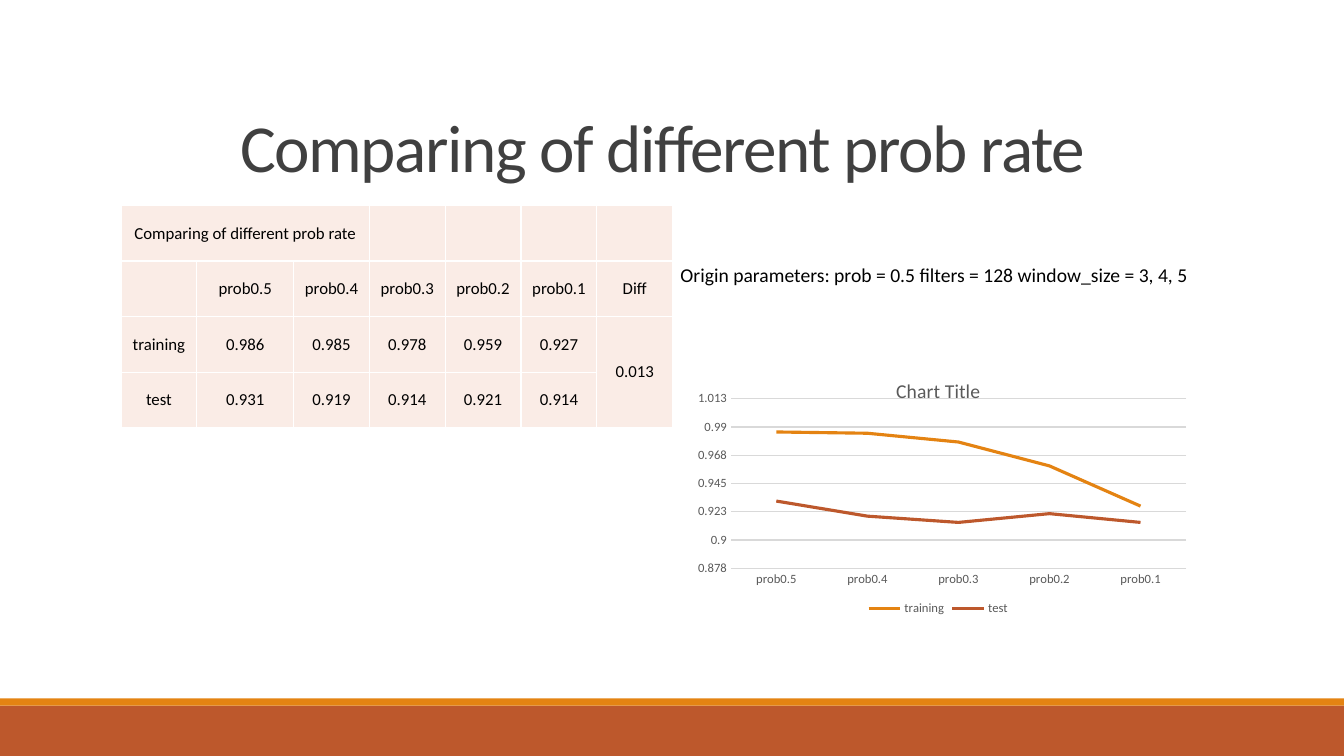
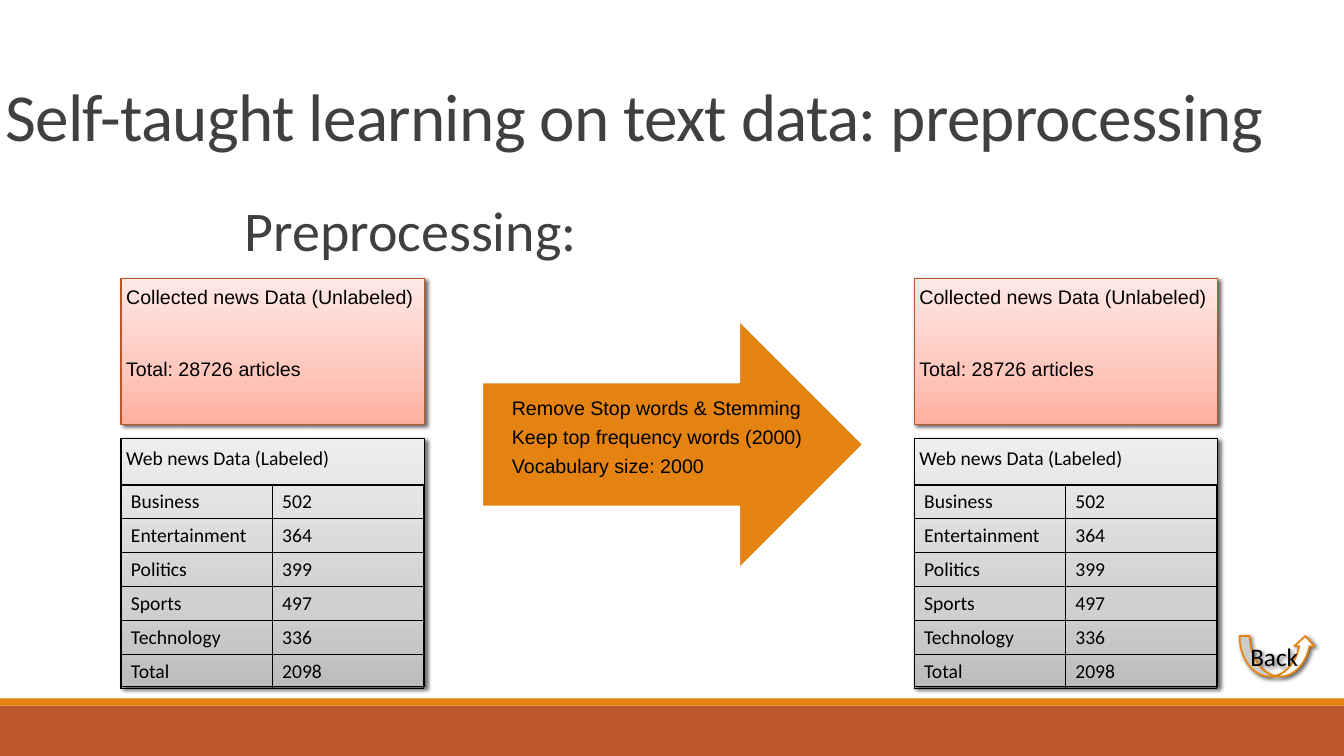
from pptx import Presentation
from pptx.chart.data import CategoryChartData as ChartData
from pptx.dml.color import RGBColor
from pptx.enum.chart import XL_CHART_TYPE as Kind, XL_LEGEND_POSITION as Side
from pptx.enum.chart import XL_TICK_MARK as Tick
from pptx.enum.shapes import MSO_SHAPE as Form
from pptx.enum.text import MSO_ANCHOR as Anchor, PP_ALIGN as Align
from pptx.oxml import parse_xml
from pptx.oxml.ns import nsdecls, qn
from pptx.util import Cm, Pt

ORANGE, RUST, BLACK, WHITE = "E48312", "BD582C", "000000", "FFFFFF"
DARK, GRAY, PALE, ROSE = "404040", "595959", "D9D9D9", "FAECE6"
PINK = ((0, "FFAFA0"), (35, "FFC6BC"), (100, "FFE9E5"))
SILVER = ((0, "BDBDBD"), (35, "D1D1D1"), (100, "EEEEEE"))


def hue(code):
    return RGBColor.from_string(code)


def put(item, **fmt):
    for key, val in fmt.items():
        setattr(item, key, val)


def ink(font, size, color=BLACK, name="Calibri"):
    put(font, size=Pt(size), name=name, bold=False)
    font.color.rgb = hue(color)


def stroke(line, color, width):
    line.color.rgb = hue(color)
    line.width = Pt(width)


class Deck:
    """Holds the style and the current slide."""

    def __init__(self):
        self.prs = Presentation()
        put(self.prs, slide_width=Cm(33.87), slide_height=Cm(19.05))
        self.slide = None

    def start(self, title, box, track):
        """New slide with its bottom bands and title."""
        self.slide = self.prs.slides.add_slide(self.prs.slide_layouts[6])
        self.shape((0, 17.78, 33.87, 1.27), RUST)
        self.shape((0, 17.6, 33.87, 0.18), ORANGE)
        self.text(box, [title], 48, DARK, anchor=Anchor.BOTTOM,
                  para={"line_spacing": 0.85}, track=track)

    def label(self, frame, lines, size, color=BLACK, name="Calibri",
              anchor=Anchor.TOP, para=None, track=0, pad=(0.13,) * 4):
        """Fill a text frame, one paragraph for each line."""
        left, top, right, low = map(Cm, pad)
        put(frame, word_wrap=True, vertical_anchor=anchor, margin_left=left,
            margin_top=top, margin_right=right, margin_bottom=low)
        for num, line in enumerate(lines):
            par = frame.add_paragraph() if num else frame.paragraphs[0]
            put(par, **{"alignment": Align.LEFT, **(para or {})})
            run = par.add_run()
            run.text = line
            ink(run.font, size, color, name)
            if track:
                run.font._element.set("spc", str(int(track * 100)))

    def text(self, box, lines, size, color=BLACK, **fmt):
        item = self.slide.shapes.add_textbox(*map(Cm, box))
        self.label(item.text_frame, lines, size, color, **fmt)

    def shape(self, box, fill, form=Form.RECTANGLE, line=None, shade=False):
        """Preset shape; fill is a colour or a row of gradient stops."""
        item = self.slide.shapes.add_shape(form, *map(Cm, box))
        item.shadow.inherit = False
        if isinstance(fill, str):
            item.fill.solid()
            item.fill.fore_color.rgb = hue(fill)
        else:
            stops = "".join(
                f'<a:gs pos="{pos * 1000}"><a:srgbClr val="{code}"/></a:gs>'
                for pos, code in fill)
            item._element.spPr.insert(2, parse_xml(
                f'<a:gradFill {nsdecls("a")} rotWithShape="1"><a:gsLst>{stops}'
                '</a:gsLst><a:lin ang="16200000" scaled="0"/></a:gradFill>'))
        if line:
            stroke(item.line, *line)
        else:
            item.line.fill.background()
        if shade:
            item._element.spPr.find(qn("a:effectLst")).append(parse_xml(
                f'<a:outerShdw {nsdecls("a")} blurRad="38100" dist="25400" '
                f'dir="2700000" rotWithShape="0"><a:srgbClr val="{BLACK}">'
                '<a:alpha val="60000"/></a:srgbClr></a:outerShdw>'))
        return item

    def table(self, spot, wide, high, rows, size, edge, fill=None, spans=(),
              **fmt):
        box = (*spot, sum(wide), high * len(rows))
        grid = self.slide.shapes.add_table(
            len(rows), len(wide), *map(Cm, box)).table
        put(grid, first_row=False, horz_banding=False)
        for col, width in zip(grid.columns, wide):
            col.width = Cm(width)
        for row, vals in zip(grid.rows, rows):
            row.height = Cm(high)
            for cell, val in zip(row.cells, vals):
                self.cell(cell, val, size, edge, fill, **fmt)
        for first, last in spans:
            grid.cell(*first).merge(grid.cell(*last))

    def cell(self, cell, val, size, edge, fill, para=None,
             anchor=Anchor.TOP, pad=(0.25, 0.13)):
        par = cell.text_frame.paragraphs[0]
        put(par, **(para or {}))
        run = par.add_run()
        run.text = val
        ink(run.font, size)
        across, down = map(Cm, pad)
        put(cell, vertical_anchor=anchor, margin_left=across,
            margin_right=across, margin_top=down, margin_bottom=down)
        if fill:
            cell.fill.solid()
            cell.fill.fore_color.rgb = hue(fill)
        else:
            cell.fill.background()
        props = cell._tc.get_or_add_tcPr()
        for num, side in enumerate("LRTB"):
            props.insert(num, parse_xml(
                f'<a:ln{side} {nsdecls("a")} w="12700"><a:solidFill>'
                f'<a:srgbClr val="{edge}"/></a:solidFill></a:ln{side}>'))

    def chart(self, box, title, cats, lines, low, high, step):
        """Line chart; lines holds name, values and colour."""
        data = ChartData()
        data.categories = cats
        for name, vals, _ in lines:
            data.add_series(name, vals)
        chart = self.slide.shapes.add_chart(
            Kind.LINE, *map(Cm, box), data).chart
        ink(chart.font, 9, GRAY)
        # Title and legend
        put(chart, has_title=True, has_legend=True)
        head = chart.chart_title.text_frame
        head.text = title
        ink(head.paragraphs[0].runs[0].font, 14, GRAY)
        put(chart.legend, position=Side.BOTTOM, include_in_layout=True)
        # Axes
        for axis in (chart.category_axis, chart.value_axis):
            put(axis, major_tick_mark=Tick.NONE, minor_tick_mark=Tick.NONE)
            ink(axis.tick_labels.font, 9, GRAY)
        stroke(chart.category_axis.format.line, PALE, 1)
        axis = chart.value_axis
        put(axis, minimum_scale=low, maximum_scale=high, major_unit=step,
            has_major_gridlines=True)
        put(axis.tick_labels, number_format="0.###",
            number_format_is_linked=False)
        axis.format.line.fill.background()
        stroke(axis.major_gridlines.format.line, PALE, 1)
        # Lines
        plot = chart.plots[0]
        plot.vary_by_categories = False
        for item, (_, _, color) in zip(plot.series, lines):
            item.smooth = False
            stroke(item.format.line, color, 2.25)
        # Place of the plot area
        area = chart._chartSpace.chart.plotArea
        for old in area.findall(qn("c:layout")):
            area.remove(old)
        modes = '<c:xMode val="edge"/><c:yMode val="edge"/>'
        sizes = "".join(f'<c:{key} val="{val}"/>' for key, val in zip(
            "xywh", (0.09, 0.14, 0.9, 0.66)))
        area.insert(0, parse_xml(
            f'<c:layout {nsdecls("c")}><c:manualLayout><c:layoutTarget '
            f'val="inner"/>{modes}{sizes}</c:manualLayout></c:layout>'))


def rates(deck):
    """Table and chart of the prob rates."""
    title = "Comparing of different prob rate"
    cats = [f"prob0.{num}" for num in range(5, 0, -1)]
    train = [0.986, 0.985, 0.978, 0.959, 0.927]
    test = [0.931, 0.919, 0.914, 0.921, 0.914]
    deck.start(title, (5.92, 0.79, 27.94, 4.04), -1)
    rows = [[title] + [""] * 6,
            ["", *cats, "Diff"],
            ["training", *map(str, train), "0.013"],
            ["test", *map(str, test), ""]]
    deck.table((3.05, 5.18), [1.91, 2.44] + [1.91] * 5, 1.4, rows, 12, WHITE,
               ROSE, spans=[((0, 0), (0, 2)), ((2, 6), (3, 6))],
               anchor=Anchor.MIDDLE, pad=(0.03, 0.03),
               para={"alignment": Align.CENTER})
    deck.chart((17.27, 9.14, 12.75, 6.48), "Chart Title", cats,
               [("training", train, ORANGE), ("test", test, RUST)],
               0.8775, 1.0125, 0.0225)
    deck.text((17.02, 6.5, 16.5, 0.81), [
        "Origin parameters: prob = 0.5 filters = 128 window_size = 3, 4, 5"],
        14)


def news(deck):
    """Data sets before and after the preprocessing."""
    deck.start("Self-taught learning on text data: preprocessing",
               (0, 0, 33.05, 4.04), -0.5)
    deck.text((6.17, 5.13, 20, 2), ["Preprocessing:"], 40, DARK,
              pad=(0,) * 4, para={"line_spacing": 0.9})
    counts = [("Business", "502"), ("Entertainment", "364"),
              ("Politics", "399"), ("Sports", "497"),
              ("Technology", "336"), ("Total", "2098")]
    pad = (0.13, 0.18, 0.13, 0.13)
    # The same pair of panels on both sides
    for left in (3.05, 23.04):
        card = deck.shape((left, 7.01, 7.65, 3.68), PINK,
                          line=("BC5527", 0.75), shade=True)
        deck.label(card.text_frame, ["Collected news Data (Unlabeled)",
                                     "Total: 28726 articles"],
                   14, name="Arial", pad=pad)
        card.text_frame.paragraphs[1].space_before = Pt(34.5)
        card = deck.shape((left, 11.05, 7.65, 6.25), SILVER,
                          line=(BLACK, 0.75), shade=True)
        deck.label(card.text_frame, ["Web news Data (Labeled)"], 14, pad=pad)
        deck.table((left, 12.22), [3.81] * 2, 0.85, counts, 14, BLACK)
    # Steps between them
    deck.shape((12.14, 8.05, 9.63, 6.3), ORANGE, Form.RIGHT_ARROW, (WHITE, 2))
    deck.text((12.9, 9.14, 7.9, 3.81), [
        "Remove Stop words & Stemming", "Keep top frequency words (2000)",
        "Vocabulary size: 2000"], 14, name="Arial", anchor=Anchor.MIDDLE,
        pad=(0, 0.4, 0, 0.4),
        para={"line_spacing": 0.9, "space_after": Pt(5.5)})
    # Way back
    back = deck.shape((31.24, 16.03, 1.91, 1.02), WHITE, Form.CURVED_UP_ARROW,
                      (ORANGE, 1.25), True)
    deck.label(back.text_frame, ["Back"], 18, anchor=Anchor.MIDDLE,
               pad=(0.27, 0.13, 0.13, 0.13))


def main():
    deck = Deck()
    rates(deck)
    news(deck)
    deck.prs.save("out.pptx")


if __name__ == "__main__":
    main()
